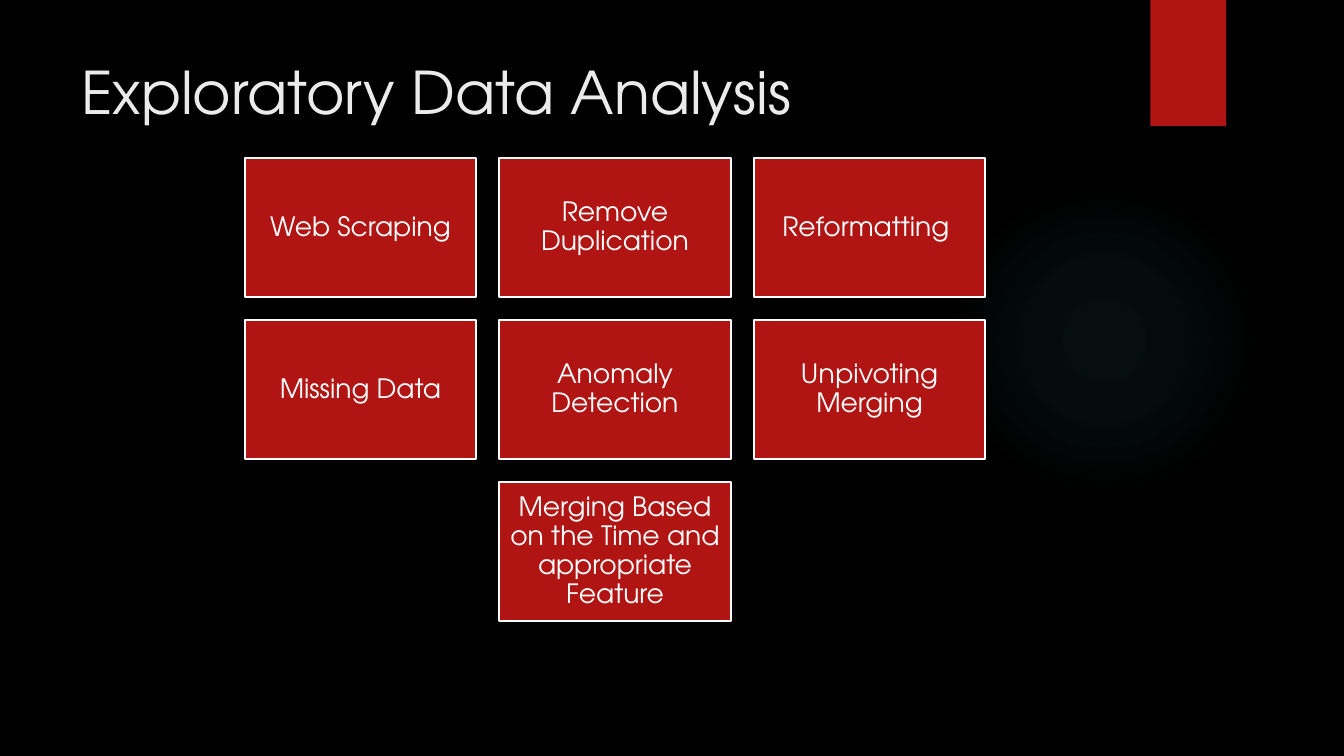
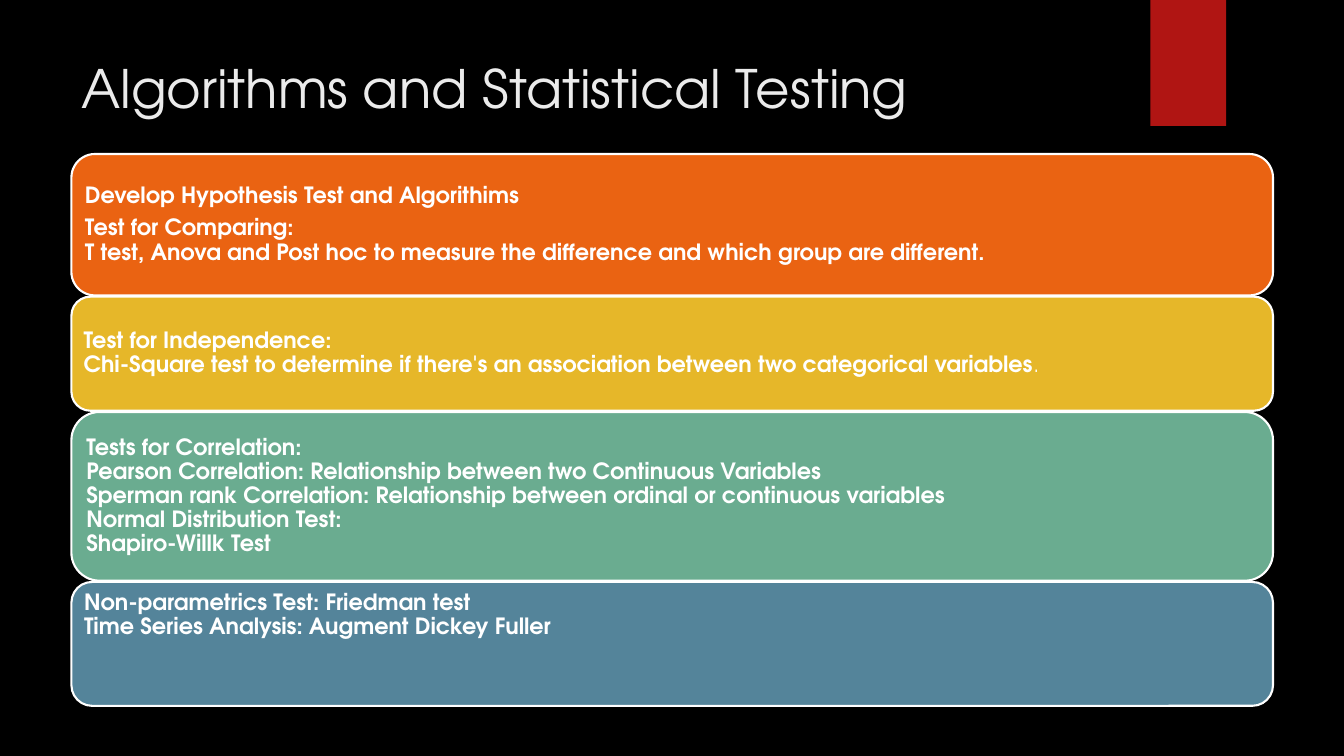
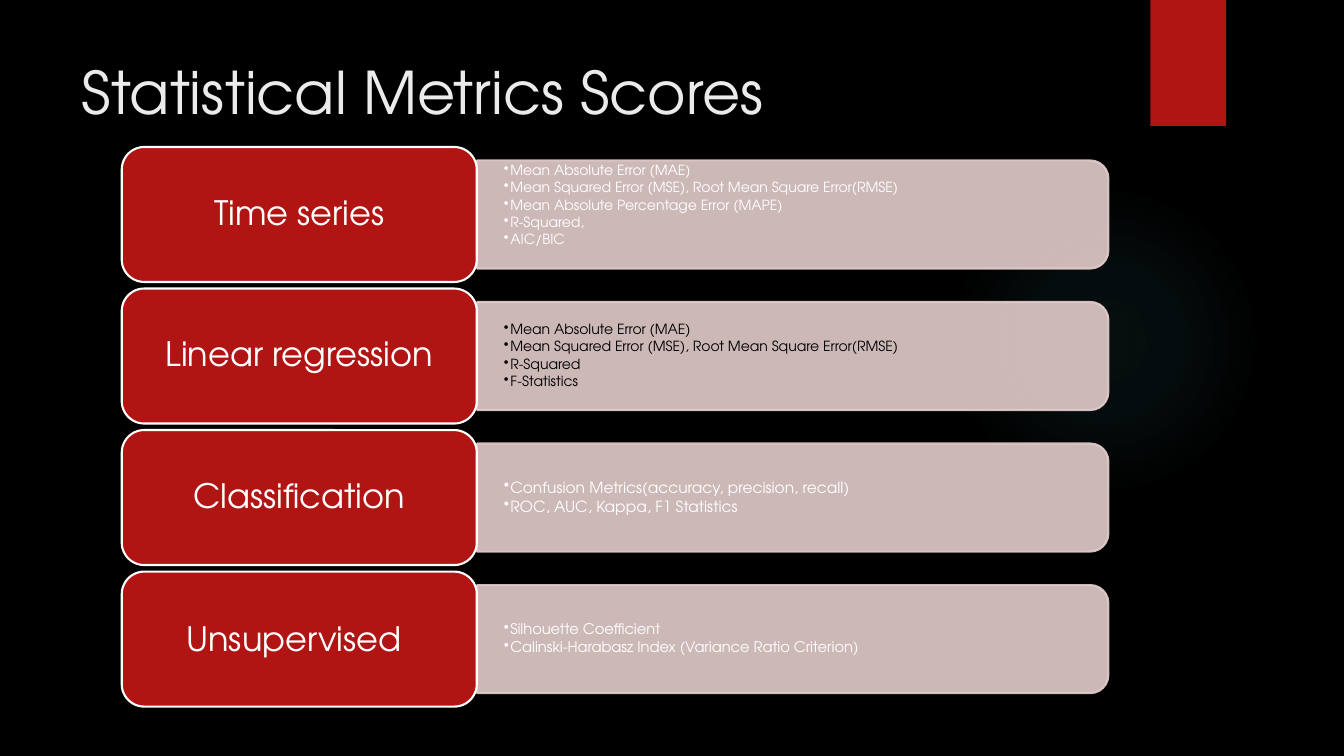
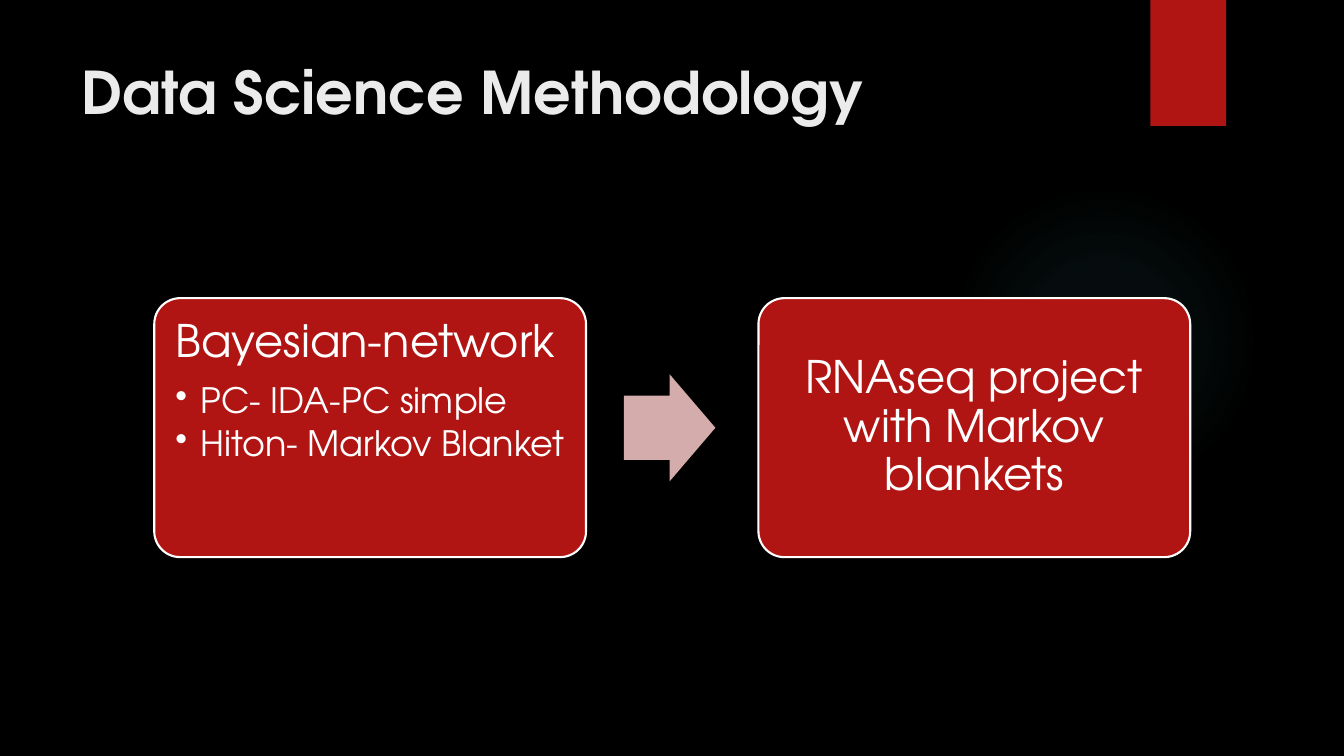
from copy import deepcopy
from dataclasses import dataclass

from lxml import etree
from pptx import Presentation
from pptx.dml.color import RGBColor
from pptx.enum.shapes import MSO_SHAPE
from pptx.enum.text import MSO_ANCHOR, PP_ALIGN
from pptx.oxml import parse_xml
from pptx.oxml.ns import qn
from pptx.util import Pt

RECT = MSO_SHAPE.RECTANGLE
ROUND = MSO_SHAPE.ROUNDED_RECTANGLE
BAR = MSO_SHAPE.ROUND_2_SAME_RECTANGLE
OVAL = MSO_SHAPE.OVAL
ARROW = MSO_SHAPE.RIGHT_ARROW
TOP, MIDDLE = MSO_ANCHOR.TOP, MSO_ANCHOR.MIDDLE
LEFT, CENTER = PP_ALIGN.LEFT, PP_ALIGN.CENTER
DRAWING_NS = 'xmlns:a="http://schemas.openxmlformats.org/drawingml/2006/main"'
TITLE_ONLY = 5


@dataclass(frozen=True)
class Theme:
    font: str = "TeX Gyre Adventor"
    black: str = "000000"
    white: str = "FFFFFF"
    title: str = "EBEBEB"
    red: str = "B01513"
    orange: str = "EA6312"
    yellow: str = "E6B729"
    green: str = "6AAC90"
    blue: str = "54849A"
    pale: str = "E4CCCC"
    pink: str = "D4ACAB"
    glow: str = "50B9C1"
    title_size: float = 42
    long_title_size: float = 37.8
    step_size: float = 19
    test_size: float = 16
    stop_size: float = 14
    family_size: float = 24
    wide_space_size: float = 28
    card_size: float = 32
    card_bullet_size: float = 25
    outline: float = 1.5
    line_spacing: float = 0.9
    after: float = 0.35
    bullet_after: float = 0.15


T = Theme()


def rgb(value):
    return RGBColor.from_string(value)


def add_box(s, kind, x, y, w, h, fill, line=None, adj=None):
    sp = s.shapes.add_shape(kind, Pt(x), Pt(y), Pt(w), Pt(h))
    sp.shadow.inherit = False
    sp.fill.solid()
    sp.fill.fore_color.rgb = rgb(fill)
    if line:
        sp.line.color.rgb = rgb(line)
        sp.line.width = Pt(T.outline)
    else:
        sp.line.fill.background()
    for i, value in enumerate(adj or []):
        sp.adjustments[i] = value
    return sp


def set_frame(sp, anchor=MIDDLE, left=0, top=0, right=0, bottom=0):
    tf = sp.text_frame
    tf.word_wrap = True
    tf.vertical_anchor = anchor
    tf.margin_left, tf.margin_top = Pt(left), Pt(top)
    tf.margin_right, tf.margin_bottom = Pt(right), Pt(bottom)
    return tf


def add_run(p, text, size, color=T.white, bold=False):
    for i, line in enumerate(text.split("\n")):
        if i:
            p.add_line_break()
            p._p[-1].append(deepcopy(r._r.rPr))
        r = p.add_run()
        r.text = line
        r.font.name = T.font
        r.font.size = Pt(size)
        r.font.bold = bold
        r.font.color.rgb = rgb(color)


def add_paragraph(tf, text, size, align=LEFT, color=T.white, bold=False, indent=0):
    p = tf.paragraphs[0] if not tf.paragraphs[0].runs else tf.add_paragraph()
    p.alignment = align
    p.line_spacing = T.line_spacing
    p.space_before = Pt(0)
    p.space_after = Pt(size * (T.bullet_after if indent else T.after))
    if indent:
        pPr = p._p.get_or_add_pPr()
        pPr.set("marL", str(Pt(indent)))
        pPr.set("indent", str(-Pt(indent)))
        etree.SubElement(pPr, qn("a:buChar")).set("char", "•")
    add_run(p, text, size, color, bold)
    return p


def set_alpha(fill_parent, percent):
    for color in fill_parent.iter(qn("a:srgbClr")):
        etree.SubElement(color, qn("a:alpha")).set("val", str(percent * 1000))


def move_to_master(prs, sp, position):
    sp._element.nvSpPr.cNvPr.set("id", str(20 + position))
    prs.slide_master.shapes._spTree.insert(2 + position, sp._element)


def add_glow(prs, s):
    sp = add_box(s, OVAL, 677.5, 131.8, 221.8, 221.8, T.glow)
    stops = "".join(
        f'<a:gs pos="{pos * 1000}"><a:srgbClr val="{T.glow}">'
        f'<a:alpha val="{alpha * 1000}"/></a:srgbClr></a:gs>'
        for pos, alpha in [(0, 7), (36, 6), (69, 0)])
    spPr = sp._element.spPr
    spPr.replace(spPr.find(qn("a:solidFill")), parse_xml(
        f'<a:gradFill {DRAWING_NS} rotWithShape="1"><a:gsLst>{stops}</a:gsLst>'
        '<a:path path="circle"><a:fillToRect l="50000" t="50000" r="50000" b="50000"/>'
        '</a:path></a:gradFill>'))
    move_to_master(prs, sp, 0)


def add_ribbon(prs, s):
    sp = add_box(s, RECT, 821.8, 0, 54, 90, T.red)
    sp._element.spPr.find(qn("a:effectLst")).append(parse_xml(
        f'<a:outerShdw {DRAWING_NS} blurRad="{Pt(3)}" dist="{Pt(2)}" dir="5400000" '
        f'rotWithShape="0"><a:srgbClr val="{T.black}"><a:alpha val="45000"/>'
        '</a:srgbClr></a:outerShdw>'))
    move_to_master(prs, sp, 1)


def style_master(prs):
    master = prs.slide_master
    master.background.fill.solid()
    master.background.fill.fore_color.rgb = rgb(T.black)
    sp = master.placeholders[0]
    sp.left, sp.top, sp.width, sp.height = Pt(51), Pt(36), Pt(741), Pt(110)
    set_frame(sp, TOP, 7.2, 3.6, 7.2, 3.6)
    master.element.find(".//" + qn("p:titleStyle")).find(qn("a:lvl1pPr")).set("algn", "l")


def add_slide(prs, title, size=T.title_size, bold=False):
    s = prs.slides.add_slide(prs.slide_layouts[TITLE_ONLY])
    add_run(s.shapes.title.text_frame.paragraphs[0], title, size, T.title, bold)
    return s


def add_step_grid(s, rows):
    columns = max(len(row) for row in rows)
    for j, row in enumerate(rows):
        offset = (columns - len(row)) / 2
        for i, text in enumerate(row):
            sp = add_box(s, RECT, 174.9 + (offset + i) * 181.8, 112.9 + j * 115.7,
                         165.2, 99.2, T.red, T.white)
            tf = set_frame(sp, MIDDLE, 5.7, 5.7, 5.7, 5.7)
            add_paragraph(tf, text, T.step_size, CENTER)


def add_test_stack(s, panels):
    y = 110
    frames = []
    for height, fill, anchor, inset, texts in panels:
        sp = add_box(s, ROUND, 51, y, 858.3, height, fill, T.white)
        tf = set_frame(sp, anchor, 4.8, inset, 4.8, inset)
        for text in texts:
            add_paragraph(tf, text, T.test_size, bold=True)
        frames.append(tf)
        y += height + 0.9
    return frames


def add_metric_row(s, center, name, size, color, lift, metrics):
    x, w, h = 340.8, 450.9, 77.2
    sp = add_box(s, BAR, x + (w - h) / 2, center - w / 2, h, w, T.pale, T.pale)
    sp.rotation = 90
    set_alpha(sp._element.spPr, 90)
    box = s.shapes.add_textbox(Pt(x), Pt(center - h / 2), Pt(w), Pt(h))
    tf = set_frame(box, MIDDLE, 19.2, 0, 19.2, lift)
    for metric in metrics:
        add_paragraph(tf, metric, size, color=color, indent=4.5)
    card = add_box(s, ROUND, 87, center - 48.2, 253.6, 96.4, T.red, T.white)
    return add_paragraph(set_frame(card, MIDDLE, 7.2, 3.6, 7.2, 3.6),
                         name, T.family_size, CENTER)


def add_card(s, x, anchor):
    sp = add_box(s, ROUND, x, 213, 308.4, 185, T.red, T.white, [0.1])
    return set_frame(sp, anchor, 9.6, 9.6, 6 if anchor == TOP else 9.6, 9.6)


def build_exploration(prs):
    s = add_slide(prs, "Exploratory Data Analysis")
    add_glow(prs, s)
    add_ribbon(prs, s)
    add_step_grid(s, [
        ["Web Scraping", "Remove Duplication", "Reformatting "],
        ["Missing Data", "Anomaly Detection", "Unpivoting Merging"],
        ["Merging Based on the Time and appropriate Feature"],
    ])


def build_testing(prs):
    s = add_slide(prs, "Algorithms and Statistical Testing", T.long_title_size)
    frames = add_test_stack(s, [
        (101, T.orange, MIDDLE, 4.8, [
            "Develop Hypothesis Test and Algorithims",
            "Test for Comparing:\nT test, Anova and Post hoc to measure the difference "
            "and which group are different."]),
        (81.5, T.yellow, MIDDLE, 4.8, [
            "Test for Independence:\nChi-Square test to determine if there's an "
            "association between two categorical variables"]),
        (120.5, T.green, MIDDLE, 4.8, [
            "Tests for Correlation:\n"
            "Pearson Correlation: Relationship between two Continuous Variables\n"
            "Sperman rank Correlation: Relationship between ordinal or continuous variables\n"
            "Normal Distribution Test:\nShapiro-Willk Test"]),
        (88.5, T.blue, TOP, 2, [
            "Non-parametrics Test: Friedman test\n"
            "Time Series Analysis: Augment Dickey Fuller"]),
    ])
    add_run(frames[1].paragraphs[0], ".", T.stop_size)


def build_metrics(prs):
    s = add_slide(prs, "Statistical Metrics Scores")
    shared = ["Mean Absolute Error (MAE)",
              "Mean Squared Error (MSE), Root Mean Square Error(RMSE)"]
    families = [
        ("Time series", 10, T.white, 12.5,
         shared + ["Mean Absolute Percentage Error (MAPE)", "R-Squared,", "AIC/BIC"]),
        ("Linear regression", 10, T.black, 0, shared + ["R-Squared", "F-Statistics"]),
        ("Classification", 11, T.white, 0,
         ["Confusion Metrics(accuracy, precision, recall)", "ROC, AUC, Kappa, F1 Statistics"]),
        ("Unsupervised", 10.5, T.white, 0,
         ["Silhouette Coefficient", "Calinski-Harabasz Index (Variance Ratio Criterion)"]),
    ]
    for i, family in enumerate(families):
        p = add_metric_row(s, 153.2 + i * 101.1, *family)
    add_run(p, " ", T.wide_space_size)


def build_methodology(prs):
    s = add_slide(prs, "Data Science Methodology", bold=True)
    tf = add_card(s, 110.2, TOP)
    add_paragraph(tf, "Bayesian-network", T.card_size)
    for text in ["PC- IDA-PC simple", "Hiton- Markov Blanket"]:
        add_paragraph(tf, text, T.card_bullet_size, indent=18)
    add_box(s, ARROW, 445.6, 267.3, 65.4, 76.5, T.pink, adj=[0.6, 0.5])
    tf = add_card(s, 541.8, MIDDLE)
    add_paragraph(tf, "RNAseq project with Markov blankets", T.card_size, CENTER)


def main():
    prs = Presentation()
    prs.slide_width, prs.slide_height = Pt(960), Pt(540)
    style_master(prs)
    build_exploration(prs)
    build_testing(prs)
    build_metrics(prs)
    build_methodology(prs)
    prs.save("out.pptx")


if __name__ == "__main__":
    main()
